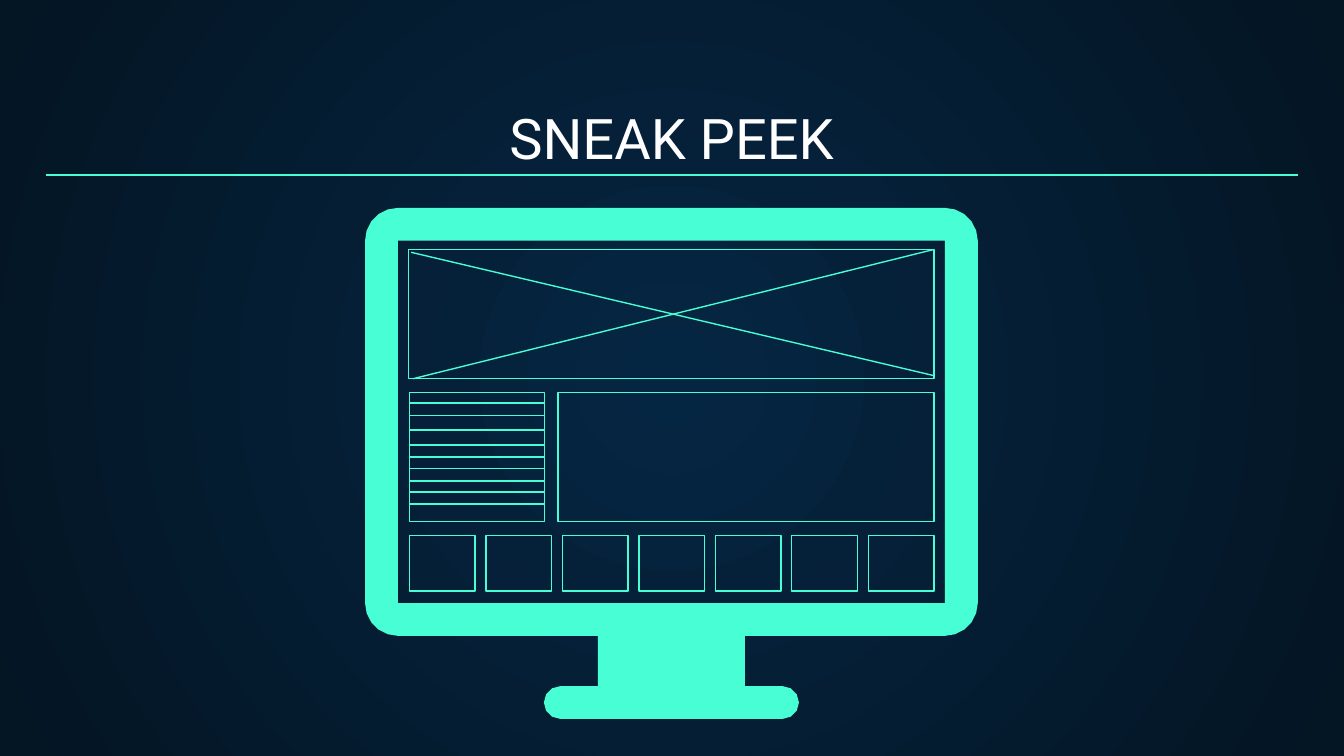
"""Build the SNEAK PEEK slide: a monitor that shows a page wireframe."""
import math
from lxml import etree
from pptx import Presentation
from pptx import util as u
from pptx.dml.color import RGBColor
from pptx.enum import shapes, text
from pptx.oxml import ns

MINT = RGBColor(0x48, 0xFF, 0xD5)
WHITE = RGBColor(0xFF, 0xFF, 0xFF)
NAVY = RGBColor(0x05, 0x26, 0x43)
MIDNIGHT = RGBColor(0x04, 0x15, 0x23)
MONITOR_CENTER = 12.69
PANEL_LEFT, PANEL_RIGHT = 7.74, 17.65
THUMBNAIL_COUNT, THUMBNAIL_WIDTH = 7, 1.24


def arc(center_x, center_y, radius, start, end, steps):
    angles = [math.radians(start + (end - start) * step / steps) for step in range(steps + 1)]
    return [(center_x + radius * math.cos(a), center_y + radius * math.sin(a)) for a in angles]


def add_line(slide, x1, y1, x2, y2):
    line = slide.shapes.add_connector(
        shapes.MSO_CONNECTOR.STRAIGHT, u.Cm(x1), u.Cm(y1), u.Cm(x2), u.Cm(y2))
    line.line.color.rgb = MINT
    line.line.width = u.Pt(0.75)
    etree.SubElement(line._element.spPr, ns.qn("a:effectLst"))


presentation = Presentation()
presentation.slide_width = u.Cm(25.4)
presentation.slide_height = u.Cm(14.29)
slide = presentation.slides.add_slide(presentation.slide_layouts[5])

background = slide.background.fill
background.gradient()
for stop, color, position in zip(background.gradient_stops, (NAVY, MIDNIGHT), (0, 1)):
    stop.color.rgb = color
    stop.position = position
gradient = slide._element.find(".//" + ns.qn("a:gradFill"))
linear = gradient.find(ns.qn("a:lin"))
radial = etree.Element(ns.qn("a:path"), path="circle")
etree.SubElement(radial, ns.qn("a:fillToRect"), l="50000", t="50000", r="50000", b="50000")
gradient.replace(linear, radial)

title = slide.shapes.title
title.left, title.top, title.width, title.height = u.Cm(0.86), u.Cm(1.79), u.Cm(23.67), u.Cm(1.68)
frame = title.text_frame
frame.word_wrap = True
frame.auto_size = text.MSO_AUTO_SIZE.NONE
frame.vertical_anchor = text.MSO_ANCHOR.BOTTOM
frame.margin_left = frame.margin_right = frame.margin_top = frame.margin_bottom = u.Cm(0.25)
paragraph = frame.paragraphs[0]
paragraph.alignment = text.PP_ALIGN.CENTER
run = paragraph.add_run()
run.text = "SNEAK PEEK"
run.font.name = "Roboto"
run.font.size = u.Pt(30)
run.font.color.rgb = WHITE

right_half = [
    *arc(17.86, 4.55, 0.62, -90, 0, 5),
    *arc(17.86, 11.4, 0.62, 0, 90, 5),
    (14.08, 12.02), (14.08, 12.97),
    *arc(14.79, 13.28, 0.31, -90, 90, 6),
]
left_half = [(2 * MONITOR_CENTER - x, y) for x, y in reversed(right_half)]
screen = [(7.52, 4.55), (7.52, 11.4), (17.86, 11.4), (17.86, 4.55)]
outline, opening = [[(u.Cm(x), u.Cm(y)) for x, y in contour]
                    for contour in (right_half + left_half, screen)]
builder = slide.shapes.build_freeform(*outline[0])
builder.add_line_segments(outline[1:], close=True)
builder.move_to(*opening[0])
builder.add_line_segments(opening[1:], close=True)
monitor = builder.convert_to_shape()
monitor.shadow.inherit = False
monitor.fill.solid()
monitor.fill.fore_color.rgb = MINT
monitor.line.fill.background()

panels = [
    (slide, 7.72, 4.72, 9.93, 2.44),
    (slide, PANEL_LEFT, 7.42, 2.55, 2.44),
    (slide, 10.55, 7.42, 7.1, 2.44),
]
thumbnails = slide.shapes.add_group_shape()
pitch = (PANEL_RIGHT - PANEL_LEFT - THUMBNAIL_WIDTH) / (THUMBNAIL_COUNT - 1)
panels += [(thumbnails, PANEL_LEFT + pitch * column, 10.12, THUMBNAIL_WIDTH, 1.05)
           for column in range(THUMBNAIL_COUNT)]
for parent, left, top, width, height in panels:
    panel = parent.shapes.add_shape(
        shapes.MSO_SHAPE.RECTANGLE, u.Cm(left), u.Cm(top), u.Cm(width), u.Cm(height))
    panel.shadow.inherit = False
    panel.fill.background()
    panel.line.color.rgb = MINT
    panel.line.width = u.Pt(0.75)

add_line(slide, 7.77, 4.77, PANEL_RIGHT, 7.1)
add_line(slide, 7.8, 7.16, 17.63, 4.72)
for y in (7.62, 7.85, 8.13, 8.41, 8.64, 8.86, 9.09, 9.3, 9.53):
    add_line(slide, PANEL_LEFT, y, 10.29, y)
add_line(slide, 0.87, 3.31, 24.53, 3.31)

presentation.save("out.pptx")
